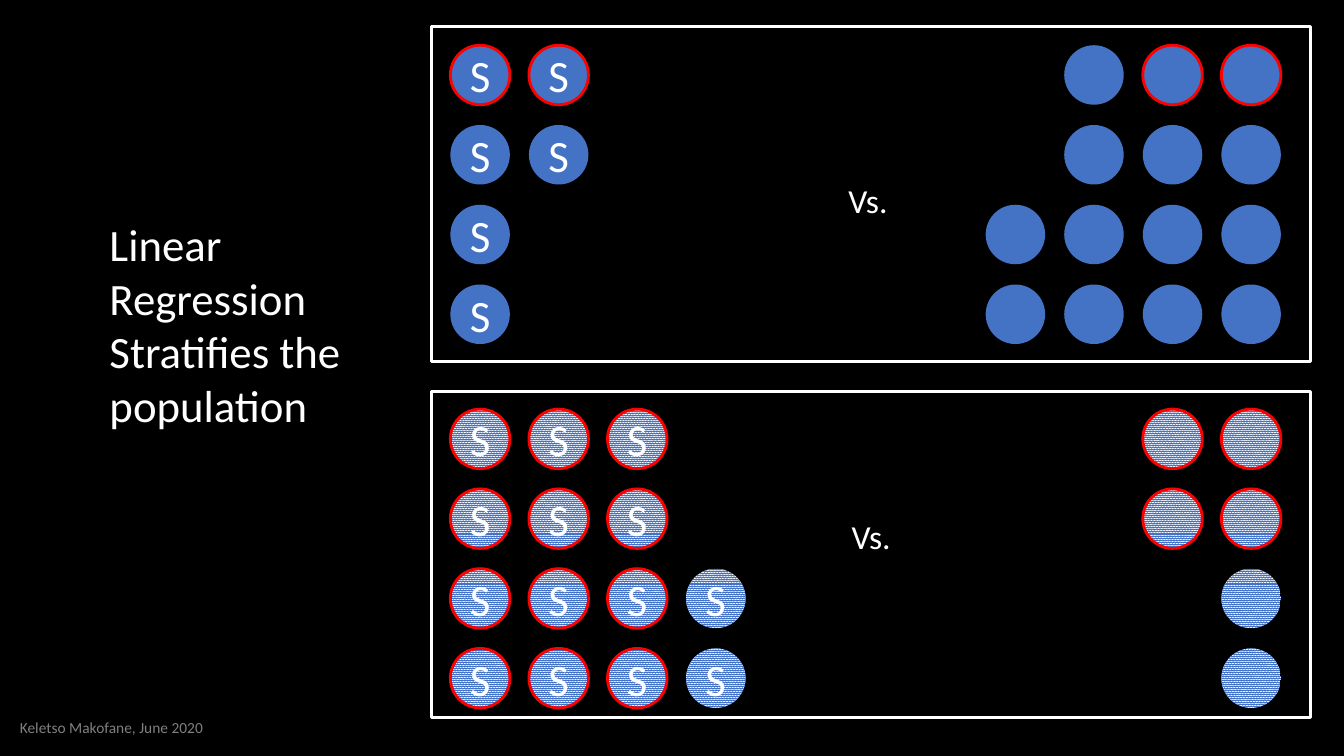
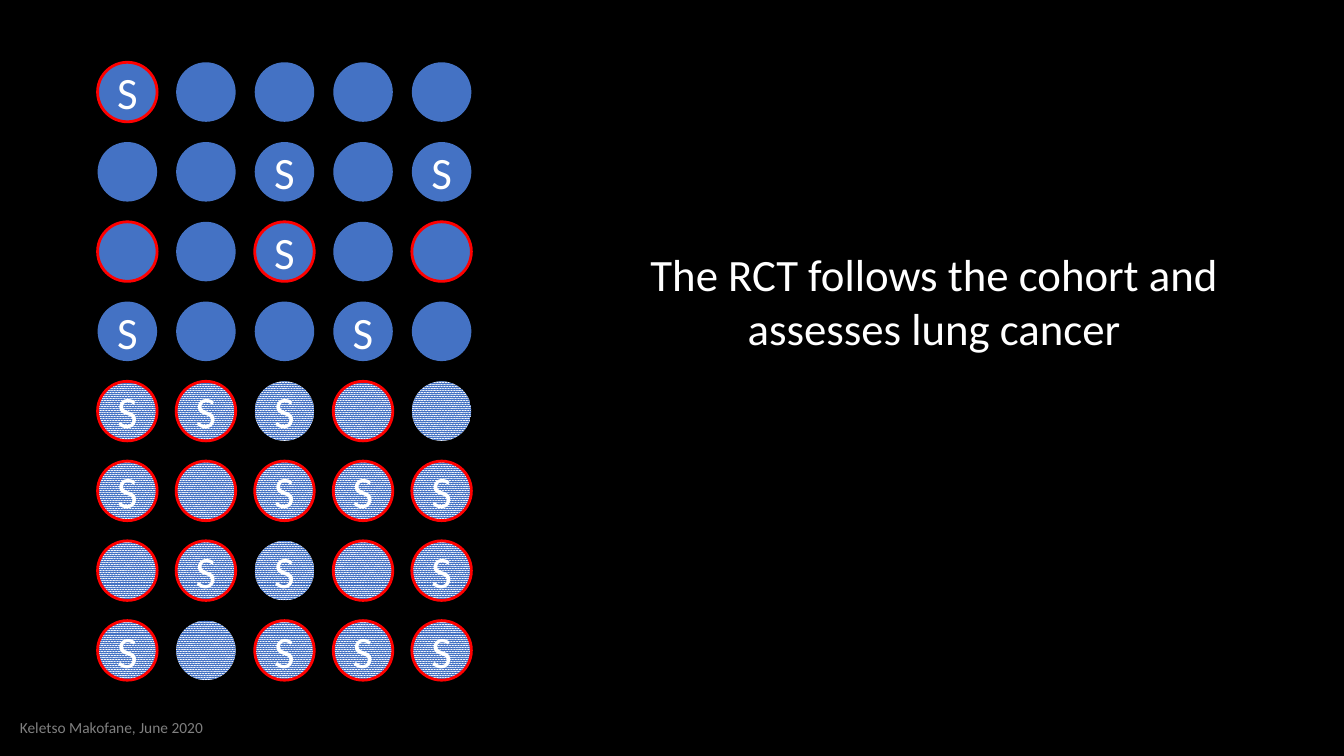
from dataclasses import dataclass

import pptx
import pptx.dml.color
import pptx.enum.dml
import pptx.enum.shapes
import pptx.enum.text
import pptx.slide
import pptx.text.text
import pptx.util

Cm = pptx.util.Cm
Pt = pptx.util.Pt
RGBColor = pptx.dml.color.RGBColor
Align = pptx.enum.text.PP_ALIGN
Shape = pptx.enum.shapes.MSO_SHAPE

BLACK = RGBColor(0x00, 0x00, 0x00)
WHITE = RGBColor(0xFF, 0xFF, 0xFF)
BLUE = RGBColor(0x44, 0x72, 0xC4)
RED = RGBColor(0xFF, 0x00, 0x00)
GRAY = RGBColor(0x80, 0x80, 0x80)

FONT = "Calibri"
DIAMETER = 1.5
COLUMN_STEP = 1.98
ROW_STEP = 2.01

SMOKERS = "sS"
CANCER_CASES = "SO"
EMPTY = "."


@dataclass(frozen=True)
class Group:
    """Rows of people: s smoker, o non-smoker, capital with cancer, dot empty."""

    left: float
    top: float
    rows: tuple[str, ...]
    hatched: bool = False


@dataclass(frozen=True)
class Panel:
    top: float
    height: float
    left: float = 10.87
    width: float = 22.15


@dataclass(frozen=True)
class Label:
    text: str
    left: float
    top: float
    width: float
    height: float
    size: float = 32
    color: RGBColor = WHITE
    align: Align = Align.LEFT
    wrap: bool = True


STRATA = (
    Group(11.35, 1.14, ("SS", "ss", "s", "s")),
    Group(24.84, 1.14, (".oOO", ".ooo", "oooo", "oooo")),
    Group(11.35, 10.31, ("SSS", "SSS", "SSSs", "SSSs"), hatched=True),
    Group(24.84, 10.31, ("..OO", "..OO", "...o", "...o"), hatched=True),
)
PANELS = (Panel(0.66, 8.46), Panel(9.86, 8.23))
COHORT = (
    Group(2.46, 1.57, ("Soooo", "oosos", "OoSoO", "sooso")),
    Group(2.46, 1.57 + 4 * ROW_STEP, ("SSsOo", "SOSSS", "OSsOS", "SoSSS"), hatched=True),
)
STRATA_LABELS = (
    Label("Vs.", 21.13, 4.42, 1.5, 1.27, size=24, wrap=False),
    Label("Vs.", 21.21, 12.88, 1.5, 1.27, size=24, wrap=False),
    Label("Linear Regression Stratifies the population", 2.51, 5.33, 6.91, 5.74),
)
COHORT_LABELS = (
    Label("The RCT follows the cohort and assesses lung cancer",
          15.29, 6.1, 16.51, 3, align=Align.CENTER),
)
CREDIT = Label("Keletso Makofane, June 2020", 0.25, 17.98, 5.18, 0.74,
               size=11, color=GRAY, wrap=False)


def write(frame: pptx.text.text.TextFrame, text: str, *, size: float = 32,
          color: RGBColor = WHITE, align: Align = Align.LEFT) -> None:
    paragraph = frame.paragraphs[0]
    paragraph.alignment = align
    run = paragraph.add_run()
    run.text = text
    run.font.name = FONT
    run.font.size = Pt(size)
    run.font.color.rgb = color


def draw_person(slide: pptx.slide.Slide, kind: str, left: float, top: float,
                hatched: bool) -> None:
    person = slide.shapes.add_shape(
        Shape.OVAL, Cm(left), Cm(top), Cm(DIAMETER), Cm(DIAMETER))
    person.shadow.inherit = False
    if hatched:
        person.fill.patterned()
        person.fill.pattern = pptx.enum.dml.MSO_PATTERN.PERCENT_90
        person.fill.back_color.rgb = WHITE
    else:
        person.fill.solid()
    person.fill.fore_color.rgb = BLUE
    if kind in CANCER_CASES:
        person.line.color.rgb = RED
        person.line.width = Pt(2)
    else:
        person.line.fill.background()
    if kind in SMOKERS:
        person.text_frame.vertical_anchor = pptx.enum.text.MSO_ANCHOR.MIDDLE
        write(person.text_frame, "S", align=Align.CENTER)


def draw_group(slide: pptx.slide.Slide, group: Group) -> None:
    for row, people in enumerate(group.rows):
        for column, kind in enumerate(people):
            if kind != EMPTY:
                draw_person(slide, kind, group.left + column * COLUMN_STEP,
                            group.top + row * ROW_STEP, group.hatched)


def draw_panel(slide: pptx.slide.Slide, panel: Panel) -> None:
    border = slide.shapes.add_shape(
        Shape.RECTANGLE, Cm(panel.left), Cm(panel.top), Cm(panel.width), Cm(panel.height))
    border.shadow.inherit = False
    border.fill.background()
    border.line.color.rgb = WHITE
    border.line.width = Pt(2.25)


def draw_label(slide: pptx.slide.Slide, label: Label) -> None:
    frame = slide.shapes.add_textbox(
        Cm(label.left), Cm(label.top), Cm(label.width), Cm(label.height)).text_frame
    frame.word_wrap = label.wrap
    frame.auto_size = pptx.enum.text.MSO_AUTO_SIZE.SHAPE_TO_FIT_TEXT
    write(frame, label.text, size=label.size, color=label.color, align=label.align)


def build_slide(deck, groups: tuple[Group, ...], labels: tuple[Label, ...],
                panels: tuple[Panel, ...] = ()) -> None:
    slide = deck.slides.add_slide(deck.slide_layouts[6])
    slide.background.fill.solid()
    slide.background.fill.fore_color.rgb = BLACK
    for group in groups:
        draw_group(slide, group)
    for panel in panels:
        draw_panel(slide, panel)
    for label in (*labels, CREDIT):
        draw_label(slide, label)


def main() -> None:
    deck = pptx.Presentation()
    deck.slide_width = Cm(33.87)
    deck.slide_height = Cm(19.05)
    build_slide(deck, STRATA, STRATA_LABELS, PANELS)
    build_slide(deck, COHORT, COHORT_LABELS)
    deck.save("out.pptx")


if __name__ == "__main__":
    main()
